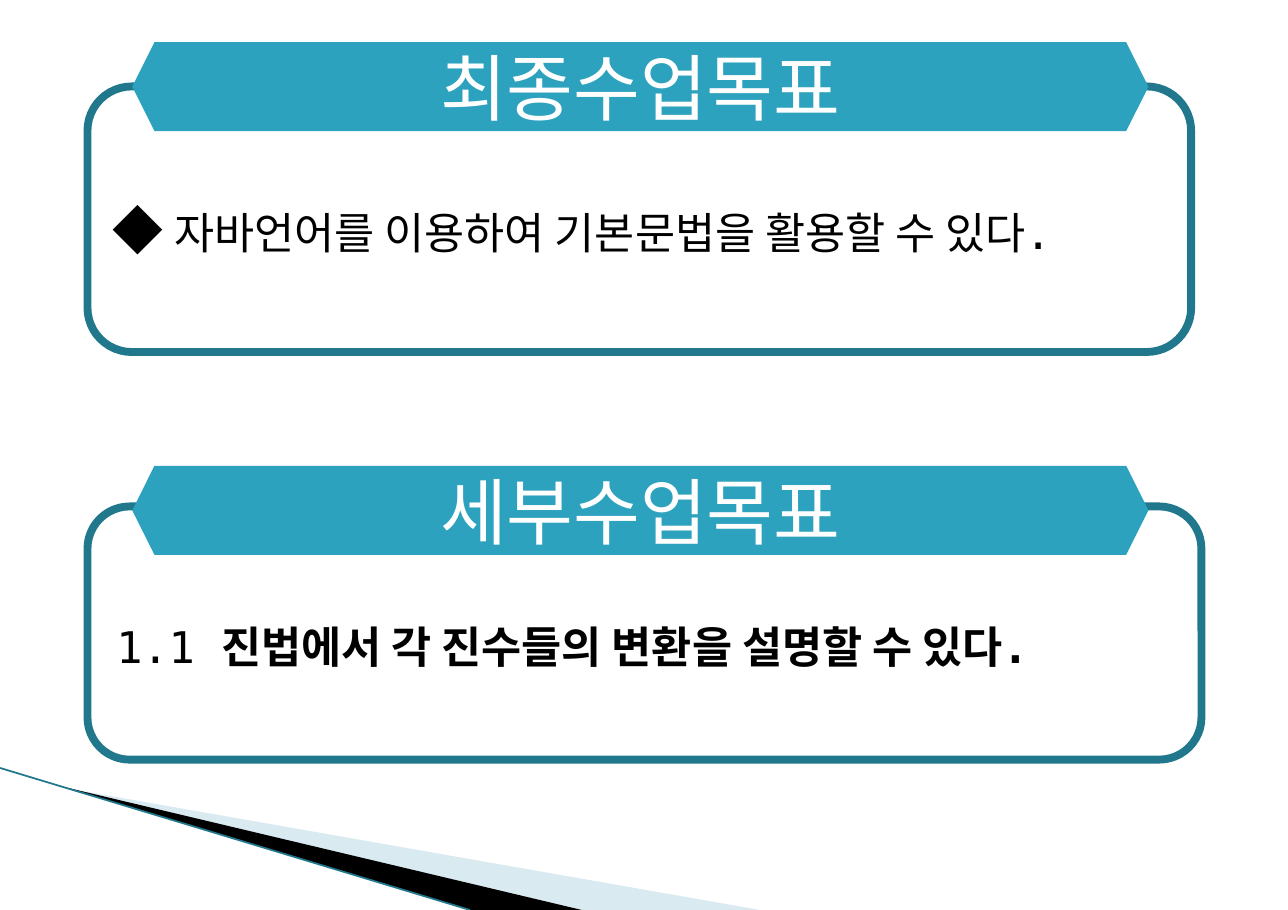
from dataclasses import dataclass

from lxml import etree
from pptx import Presentation
from pptx.dml.color import RGBColor
from pptx.enum.shapes import MSO_CONNECTOR, MSO_SHAPE
from pptx.enum.text import MSO_ANCHOR, PP_ALIGN
from pptx.oxml.ns import qn
from pptx.shapes.autoshape import Shape
from pptx.slide import Slide
from pptx.text.text import _Paragraph
from pptx.util import Cm, Pt

STRAIGHT = MSO_CONNECTOR.STRAIGHT
ROUNDED = MSO_SHAPE.ROUNDED_RECTANGLE
HEXAGON = MSO_SHAPE.HEXAGON
MIDDLE = MSO_ANCHOR.MIDDLE
CENTER = PP_ALIGN.CENTER


@dataclass(frozen=True)
class Theme:
    font: str = "DejaVu Sans Mono"
    banner: RGBColor = RGBColor(0x2D, 0xA2, 0xBF)
    frame: RGBColor = RGBColor(0x21, 0x78, 0x8D)
    pale: RGBColor = RGBColor(0xA0, 0xCB, 0xDC)
    black: RGBColor = RGBColor(0, 0, 0)
    white: RGBColor = RGBColor(0xFF, 0xFF, 0xFF)
    heading_size: float = 40
    marker_size: float = 28
    body_size: float = 24
    frame_width: float = 4.33
    edge_width: float = 0.95


@dataclass(frozen=True)
class Box:
    left: float
    top: float
    width: float
    height: float

    def lengths(self) -> tuple[Cm, Cm, Cm, Cm]:
        return Cm(self.left), Cm(self.top), Cm(self.width), Cm(self.height)


@dataclass(frozen=True)
class Words:
    text: str
    size: float
    color: RGBColor
    bold: bool = False


@dataclass(frozen=True)
class Goal:
    heading: str
    banner: Box
    frame: Box
    body: Box
    statement: tuple[Words, ...]


@dataclass(frozen=True)
class Wedge:
    points: tuple[tuple[float, float], ...]
    color: RGBColor
    opacity: int


THEME = Theme()
SLIDE_WIDTH, SLIDE_HEIGHT = 25.02, 17.68
GOALS = (
    Goal(
        "최종수업목표",
        Box(2.57, 0.82, 19.74, 1.73),
        Box(1.7, 1.68, 21.44, 5.16),
        Box(1.93, 3.73, 21.44, 1.45),
        (
            Words("◆ ", THEME.marker_size, THEME.black),
            Words("자바언어를 이용하여 기본문법을 활용할 수 있다.", THEME.body_size, THEME.black),
        ),
    ),
    Goal(
        "세부수업목표",
        Box(2.57, 9.05, 19.74, 1.73),
        Box(1.7, 9.84, 21.64, 4.92),
        Box(2.01, 11.92, 21.44, 1.27),
        (
            Words("1.1 ", THEME.body_size, THEME.black),
            Words("진법에서 각 진수들의 변환을 설명할 수 있다.", THEME.body_size, THEME.black, True),
        ),
    ),
)
WEDGES = (
    Wedge(((1.37, 15.33), (14.76, SLIDE_HEIGHT), (11.28, SLIDE_HEIGHT)), THEME.pale, 40),
    Wedge(((1.2, 15.28), (11.3, SLIDE_HEIGHT), (9.13, SLIDE_HEIGHT)), THEME.black, 100),
)
EDGE_START, EDGE_END = (0, 14.92), (9.13, SLIDE_HEIGHT)


def add_words(paragraph: _Paragraph, words: Words) -> None:
    run = paragraph.add_run()
    run.text = words.text
    run.font.size = Pt(words.size)
    run.font.bold = words.bold
    run.font.color.rgb = words.color
    run.font.name = THEME.font


def fill_shape(shape: Shape, color: RGBColor) -> None:
    shape.shadow.inherit = False
    shape.fill.solid()
    shape.fill.fore_color.rgb = color
    shape.line.fill.background()


def add_wedge(slide: Slide, wedge: Wedge) -> None:
    start, *others = [(Cm(x), Cm(y)) for x, y in wedge.points]
    builder = slide.shapes.build_freeform(*start)
    builder.add_line_segments(others, close=True)
    shape = builder.convert_to_shape()
    fill_shape(shape, wedge.color)
    if wedge.opacity < 100:
        color = shape._element.spPr.find(qn("a:solidFill"))[0]
        etree.SubElement(color, qn("a:alpha")).set("val", str(wedge.opacity * 1000))


def add_edge(slide: Slide) -> None:
    ends = [Cm(value) for value in EDGE_START + EDGE_END]
    edge = slide.shapes.add_connector(STRAIGHT, *ends)
    edge.line.color.rgb = THEME.frame
    edge.line.width = Pt(THEME.edge_width)
    etree.SubElement(edge._element.spPr, qn("a:effectLst"))


def add_goal(slide: Slide, goal: Goal) -> None:
    frame = slide.shapes.add_shape(ROUNDED, *goal.frame.lengths())
    frame.shadow.inherit = False
    frame.fill.background()
    frame.line.color.rgb = THEME.frame
    frame.line.width = Pt(THEME.frame_width)

    body = slide.shapes.add_textbox(*goal.body.lengths()).text_frame
    body.word_wrap = True
    for words in goal.statement:
        add_words(body.paragraphs[0], words)

    banner = slide.shapes.add_shape(HEXAGON, *goal.banner.lengths())
    fill_shape(banner, THEME.banner)
    banner.text_frame.vertical_anchor = MIDDLE
    heading = banner.text_frame.paragraphs[0]
    heading.alignment = CENTER
    add_words(heading, Words(goal.heading, THEME.heading_size, THEME.white))


def main() -> None:
    presentation = Presentation()
    presentation.slide_width = Cm(SLIDE_WIDTH)
    presentation.slide_height = Cm(SLIDE_HEIGHT)
    slide = presentation.slides.add_slide(presentation.slide_layouts[6])
    for wedge in WEDGES:
        add_wedge(slide, wedge)
    add_edge(slide)
    for goal in GOALS:
        add_goal(slide, goal)
    presentation.save("out.pptx")


if __name__ == "__main__":
    main()
